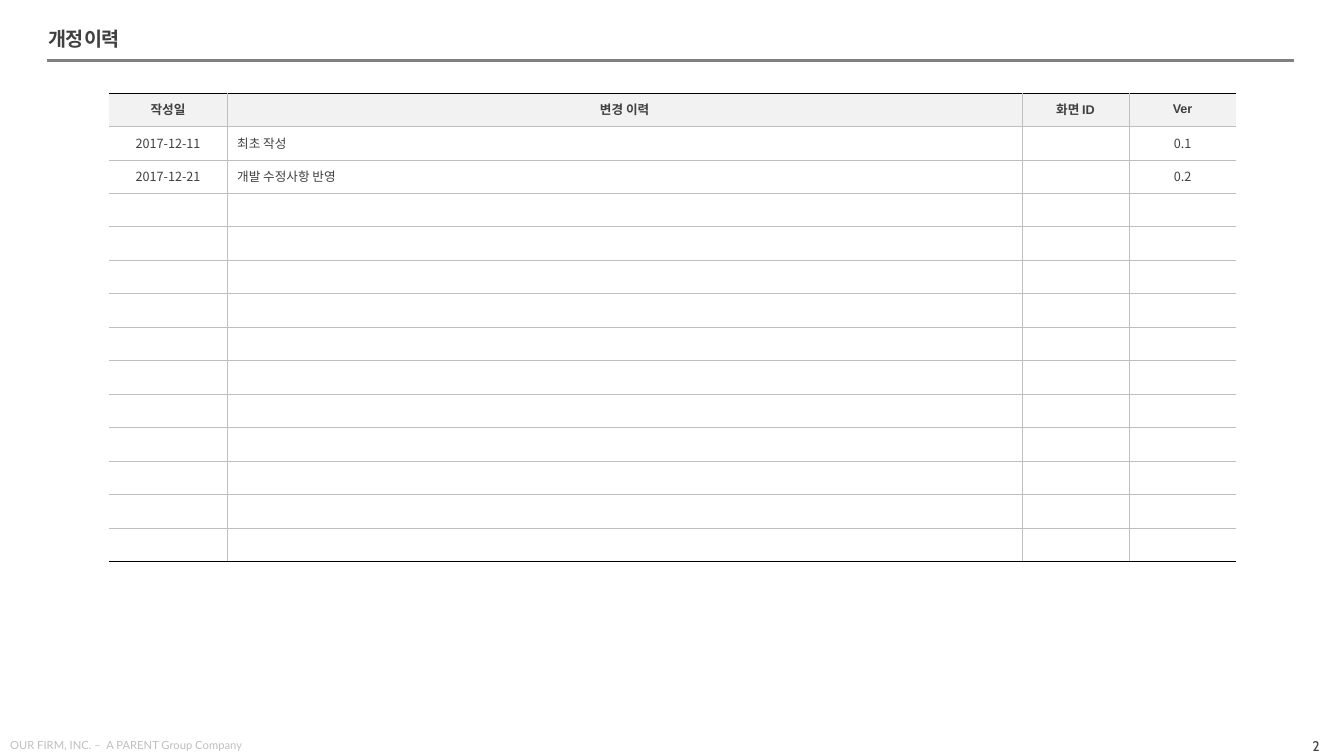
import dataclasses

import lxml.etree
import pptx
import pptx.dml.color
import pptx.enum.shapes
import pptx.enum.text
import pptx.oxml.ns
import pptx.util

Inches = pptx.util.Inches
Pt = pptx.util.Pt
ALIGN = pptx.enum.text.PP_ALIGN
ANCHOR = pptx.enum.text.MSO_ANCHOR
qn = pptx.oxml.ns.qn


@dataclasses.dataclass(frozen=True)
class Theme:
    ink: str = "404040"
    rule: str = "808080"
    grid: str = "BFBFBF"
    frame: str = "000000"
    header_fill: str = "F2F2F2"
    muted: str = "BFBFBF"
    body_font: str = "Noto Sans CJK KR"
    header_font: str = "Arial"
    footer_font: str = "Lato"
    number_font: str = "Cabin"
    title_size: float = 14
    table_size: float = 9
    footer_size: float = 8
    number_size: float = 10
    rule_width: float = 2.25
    grid_width: float = 0.25


THEME = Theme()
HEADINGS = ["작성일", "변경 이력", "화면 ID", "Ver"]
REVISIONS = [
    ["2017-12-11", "최초 작성", "", "0.1"],
    ["2017-12-21", "개발 수정사항 반영", "", "0.2"],
]
ROW_COUNT = 14
COLUMN_WIDTHS = [1.17, 7.87, 1.06, 1.06]
HISTORY_COLUMN = 1


def rgb(color):
    return pptx.dml.color.RGBColor.from_string(color)


def add_run(paragraph, text, font, size, color, bold=False):
    run = paragraph.add_run()
    run.text = text
    run.font.name = font
    run.font.size = Pt(size)
    run.font.bold = bold
    run.font.color.rgb = rgb(color)
    if font == THEME.body_font:
        east_asian = lxml.etree.SubElement(run.font._element, qn("a:ea"))
        east_asian.set("typeface", font)
    return run


def add_text_frame(slide, box, insets, wrap):
    frame = slide.shapes.add_textbox(*map(Inches, box)).text_frame
    frame.word_wrap = wrap
    frame.margin_left, frame.margin_top, frame.margin_right, frame.margin_bottom = map(Inches, insets)
    return frame


def add_title(slide, box, text):
    paragraph = add_text_frame(slide, box, (0, 0, 0, 0), True).paragraphs[0]
    paragraph.line_spacing = 0.9
    paragraph.space_before = Pt(10)
    run = add_run(paragraph, text, THEME.body_font, THEME.title_size, THEME.ink, bold=True)
    run.font._element.set("spc", "-100")


def add_title_rule(slide, left, right, y):
    rule = slide.shapes.add_connector(
        pptx.enum.shapes.MSO_CONNECTOR.STRAIGHT, Inches(left), Inches(y), Inches(right), Inches(y))
    rule.line.color.rgb = rgb(THEME.rule)
    rule.line.width = Pt(THEME.rule_width)
    lxml.etree.SubElement(rule._element.spPr, qn("a:effectLst"))


def add_footer(slide, box, company, number):
    """Place the company at the left end of the box and the page number at the right."""
    left, top, width, height = box
    insets = (0.04, 0.05, 0.04, 0.05)
    company_frame = add_text_frame(slide, (left, top, 3.59, height), insets, False)
    add_run(company_frame.paragraphs[0], company, THEME.footer_font, THEME.footer_size, THEME.muted)

    number_width = 0.71
    number_box = (left + width - number_width, top + 0.01, number_width, height)
    number_frame = add_text_frame(slide, number_box, insets, False)
    number_frame.vertical_anchor = ANCHOR.MIDDLE
    number_frame.paragraphs[0].alignment = ALIGN.RIGHT
    add_run(number_frame.paragraphs[0], number, THEME.number_font, THEME.number_size, THEME.ink)


def set_borders(cell, colors):
    """Draw the left, right, top and bottom borders; None leaves a side open."""
    properties = cell._tc.get_or_add_tcPr()
    for side, color in zip("LRTB", colors):
        border = lxml.etree.SubElement(properties, qn(f"a:ln{side}"))
        if color is None:
            lxml.etree.SubElement(border, qn("a:noFill"))
            continue
        border.set("w", str(Pt(THEME.grid_width)))
        fill = lxml.etree.SubElement(border, qn("a:solidFill"))
        lxml.etree.SubElement(fill, qn("a:srgbClr")).set("val", color)


def fill_cell(cell, text, is_header, alignment):
    cell.vertical_anchor = ANCHOR.MIDDLE
    if is_header:
        cell.fill.solid()
        cell.fill.fore_color.rgb = rgb(THEME.header_fill)
    else:
        cell.fill.background()
    paragraph = cell.text_frame.paragraphs[0]
    paragraph.alignment = alignment
    if text:
        font = THEME.header_font if is_header else THEME.body_font
        add_run(paragraph, text, font, THEME.table_size, THEME.ink, bold=is_header)
    else:
        end = lxml.etree.SubElement(paragraph._p, qn("a:endParaRPr"))
        end.set("sz", str(int(THEME.table_size * 100)))


def add_revision_table(slide, box):
    left, top, width, height = box
    table = slide.shapes.add_table(
        ROW_COUNT, len(HEADINGS), *map(Inches, box)).table
    table.first_row = False
    table.horz_banding = False
    for column, share in zip(table.columns, COLUMN_WIDTHS):
        column.width = Inches(width * share / sum(COLUMN_WIDTHS))
    for row in table.rows:
        row.height = Inches(height / ROW_COUNT)

    blank_rows = [[""] * len(HEADINGS)] * (ROW_COUNT - 1 - len(REVISIONS))
    last_row, last_column = ROW_COUNT - 1, len(HEADINGS) - 1
    for r, texts in enumerate([HEADINGS, *REVISIONS, *blank_rows]):
        for c, text in enumerate(texts):
            cell = table.cell(r, c)
            set_borders(cell, (
                None if c == 0 else THEME.grid,
                None if c == last_column else THEME.grid,
                THEME.frame if r == 0 else THEME.grid,
                THEME.frame if r == last_row else THEME.grid,
            ))
            is_history_text = r > 0 and c == HISTORY_COLUMN
            fill_cell(cell, text, r == 0, ALIGN.LEFT if is_history_text else ALIGN.CENTER)


def build_revision_slide(presentation):
    slide = presentation.slides.add_slide(presentation.slide_layouts[6])
    add_footer(slide, (0.06, 7.28, 13.07, 0.21), "OUR FIRM, INC. –  A PARENT Group Company", "2")
    add_title_rule(slide, 0.47, 12.83, 0.6)
    add_revision_table(slide, (1.08, 0.92, 11.18, 4.65))
    add_title(slide, (0.48, 0.29, 9.37, 0.36), "개정 이력")


def main():
    presentation = pptx.Presentation()
    presentation.slide_width = Inches(13.33)
    presentation.slide_height = Inches(7.5)
    build_revision_slide(presentation)
    presentation.save("out.pptx")


if __name__ == "__main__":
    main()
